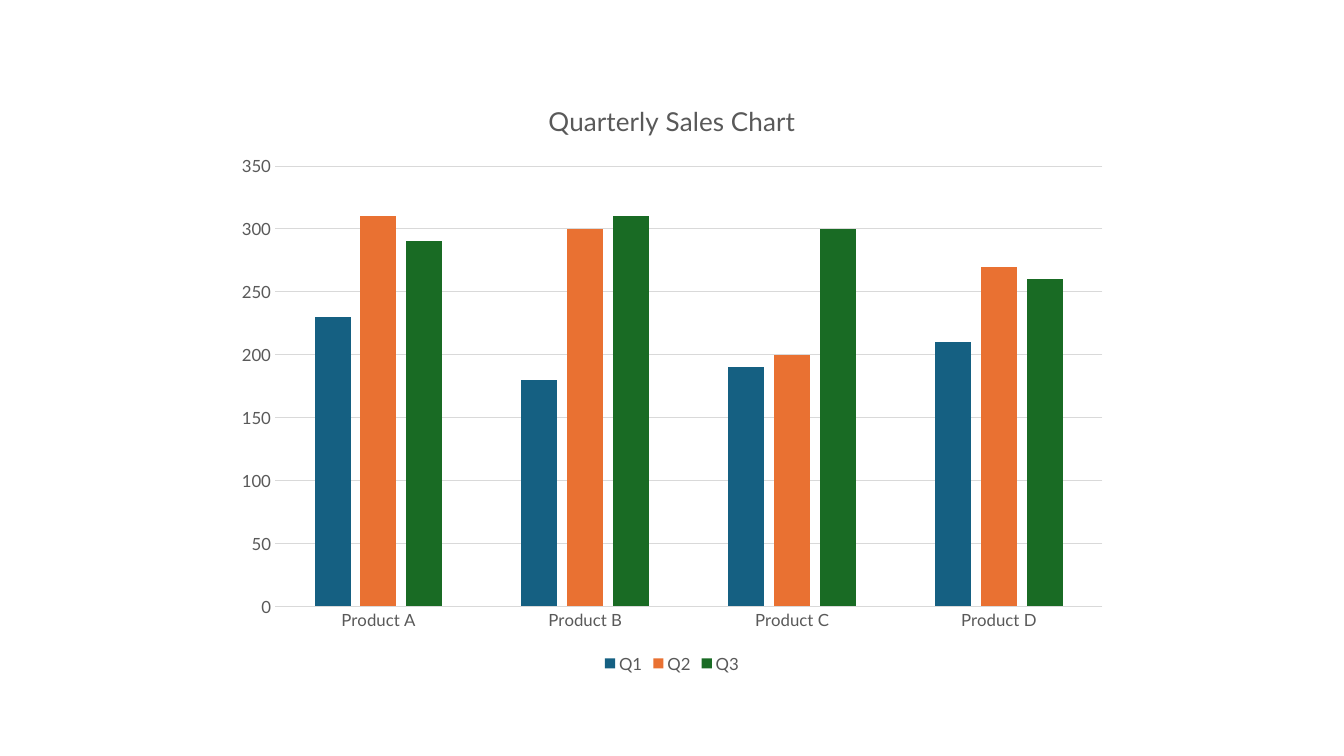
from dataclasses import dataclass

from pptx import Presentation
from pptx.chart.data import CategoryChartData
from pptx.dml.color import RGBColor
from pptx.enum.chart import XL_CHART_TYPE, XL_LEGEND_POSITION, XL_TICK_MARK
from pptx.util import Inches, Pt

PRODUCTS = ["Product A", "Product B", "Product C", "Product D"]
QUARTERLY_SALES = {
    "Q1": [230, 180, 190, 210],
    "Q2": [310, 300, 200, 270],
    "Q3": [290, 310, 300, 260],
}


@dataclass(frozen=True)
class Theme:
    font: str = "Lato"
    text: RGBColor = RGBColor(0x59, 0x59, 0x59)
    rule: RGBColor = RGBColor(0xD9, 0xD9, 0xD9)
    series: tuple = (
        RGBColor(0x15, 0x60, 0x82),
        RGBColor(0xE9, 0x71, 0x32),
        RGBColor(0x19, 0x6B, 0x24),
    )
    title_size: float = 18.6
    label_size: float = 12
    rule_width: float = 0.75


def apply(target, values):
    for name, value in values.items():
        setattr(target, name, value)


class SlideBuilder:
    def __init__(self, page, theme):
        self.page = page
        self.theme = theme

    def style_font(self, font, size):
        apply(font, {"name": self.theme.font, "size": Pt(size), "bold": False})
        font.color.rgb = self.theme.text

    def style_rule(self, line):
        line.color.rgb = self.theme.rule
        line.width = Pt(self.theme.rule_width)

    def add_column_chart(self, title, categories, series, left, top, width, height):
        data = CategoryChartData(number_format="General")
        data.categories = categories
        for name, values in series.items():
            data.add_series(name, values)
        chart = self.page.shapes.add_chart(
            XL_CHART_TYPE.COLUMN_CLUSTERED,
            Inches(left), Inches(top), Inches(width), Inches(height), data,
        ).chart
        self.style_font(chart.font, self.theme.label_size)
        self.style_title(chart, title)
        self.style_columns(chart.plots[0])
        self.style_axes(chart)
        self.style_legend(chart)

    def style_title(self, chart, title):
        chart.has_title = True
        chart.chart_title.include_in_layout = False
        para = chart.chart_title.text_frame.paragraphs[0]
        span = para.add_run()
        span.text = title
        self.style_font(para.font, self.theme.title_size)
        self.style_font(span.font, self.theme.title_size)

    def style_columns(self, plot):
        apply(plot, {"gap_width": 219, "overlap": -27, "vary_by_categories": False})
        for columns, color in zip(plot.series, self.theme.series):
            columns.format.fill.solid()
            columns.format.fill.fore_color.rgb = color
            columns.invert_if_negative = False

    def style_axes(self, chart):
        for axis in (chart.category_axis, chart.value_axis):
            apply(axis, {"major_tick_mark": XL_TICK_MARK.NONE,
                         "minor_tick_mark": XL_TICK_MARK.NONE})
            self.style_font(axis.tick_labels.font, self.theme.label_size)
        self.style_rule(chart.category_axis.format.line)
        value_axis = chart.value_axis
        apply(value_axis, {"minimum_scale": 0, "maximum_scale": 350,
                           "major_unit": 50, "has_major_gridlines": True})
        value_axis.format.line.fill.background()
        self.style_rule(value_axis.major_gridlines.format.line)

    def style_legend(self, chart):
        chart.has_legend = True
        apply(chart.legend, {"position": XL_LEGEND_POSITION.BOTTOM,
                             "include_in_layout": False})
        self.style_font(chart.legend.font, self.theme.label_size)


def main():
    deck = Presentation()
    apply(deck, {"slide_width": Inches(13.33), "slide_height": Inches(7.5)})
    page = deck.slides.add_slide(deck.slide_layouts[6])
    builder = SlideBuilder(page, Theme())
    builder.add_column_chart("Quarterly Sales Chart", PRODUCTS, QUARTERLY_SALES,
                             left=2.22, top=0.79, width=8.89, height=5.93)
    deck.save("out.pptx")


if __name__ == "__main__":
    main()
